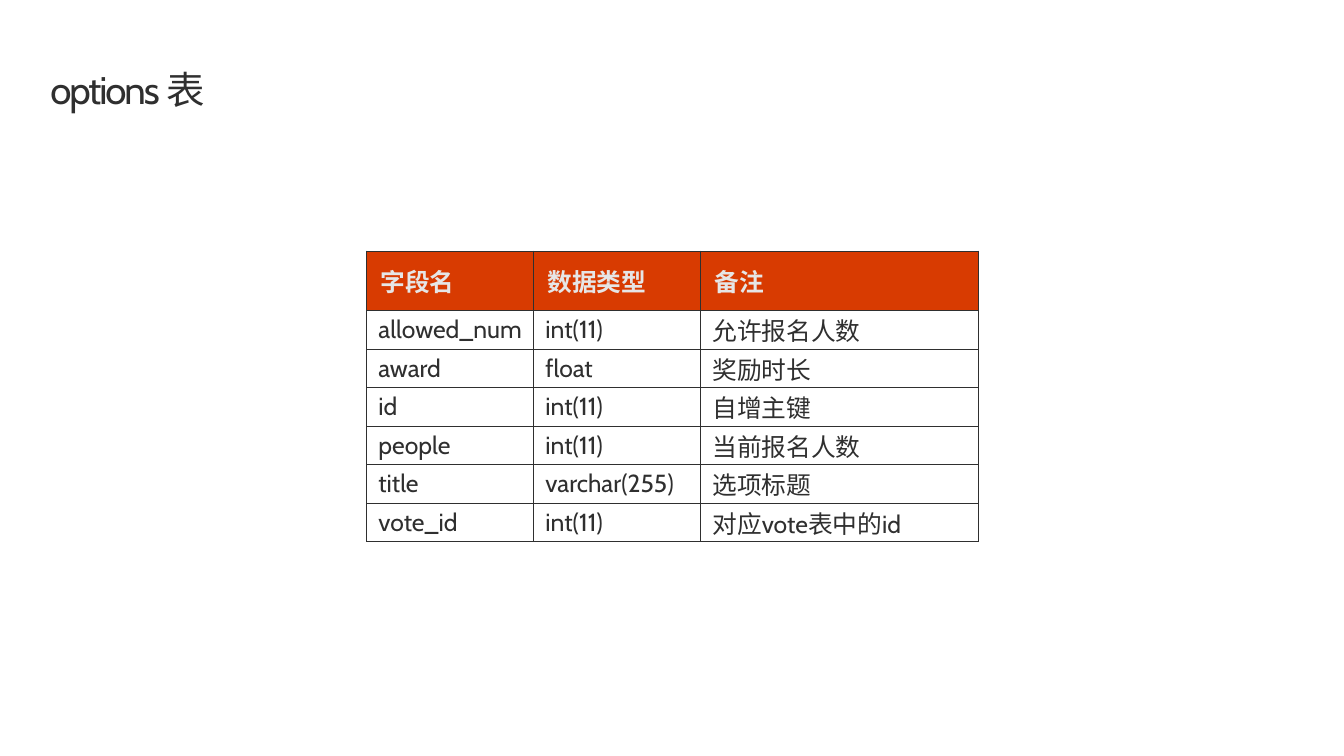
from lxml import etree
from pptx import Presentation
from pptx.dml.color import RGBColor
from pptx.enum.text import MSO_ANCHOR
from pptx.oxml.ns import qn
from pptx.util import Inches, Pt

MIDDLE = MSO_ANCHOR.MIDDLE
INK = RGBColor(0x2F, 0x2F, 0x2F)
ORANGE = RGBColor(0xD8, 0x3B, 0x01)
PALE = RGBColor(0xE6, 0xE6, 0xE6)

HEADER = ("字段名", "数据类型", "备注")
FIELDS = [
    ("allowed_num", "int(11)", "允许报名人数"),
    ("award", "float", "奖励时长"),
    ("id", "int(11)", "自增主键"),
    ("people", "int(11)", "当前报名人数"),
    ("title", "varchar(255)", "选项标题"),
    ("vote_id", "int(11)", "对应vote表中的id"),
]
COL_WIDTHS = (1.69, 1.69, 2.81)
HEADER_HEIGHT, ROW_HEIGHT = 0.6, 0.39
HEADER_INSETS = (0.14, 0.06, 0.14, 0.06)
BODY_INSETS = (0.12, 0.01, 0.01, 0)


class SlideBuilder:
    font_name = "Cabin"

    def __init__(self, slide):
        self.s = slide

    def style(self, p, size, color, bold=False):
        p.font.name = self.font_name
        p.font.size = Pt(size)
        p.font.bold = bold
        p.font.color.rgb = color

    def insets(self, target, sizes):
        """Set left, top, right and bottom margins of a cell or text frame."""
        (target.margin_left, target.margin_top,
         target.margin_right, target.margin_bottom) = map(Inches, sizes)

    def title(self, text, left, top, width, height):
        tf = self.s.shapes.add_textbox(*map(Inches, (left, top, width, height))).text_frame
        tf.word_wrap = True
        self.insets(tf, (0, 0, 0, 0))
        p = tf.paragraphs[0]
        p.line_spacing = Pt(32)
        r = p.add_run()
        r.text = text
        r.font._element.set("spc", "-150")
        self.style(p, 28, INK)

    def borders(self, cell):
        tc_pr = cell._tc.get_or_add_tcPr()
        for side in ("a:lnL", "a:lnR", "a:lnT", "a:lnB"):
            ln = etree.SubElement(tc_pr, qn(side), w=str(Pt(0.5)))
            fill = etree.SubElement(ln, qn("a:solidFill"))
            etree.SubElement(fill, qn("a:srgbClr"), val=str(INK))

    def cell(self, cell, text, is_header):
        cell.text = text
        cell.vertical_anchor = MIDDLE
        self.insets(cell, HEADER_INSETS if is_header else BODY_INSETS)
        self.borders(cell)
        if is_header:
            cell.fill.solid()
            cell.fill.fore_color.rgb = ORANGE
        else:
            cell.fill.background()
        self.style(cell.text_frame.paragraphs[0], 18, PALE if is_header else INK, is_header)

    def table(self, left, top, header, body):
        rows = [header, *body]
        heights = [HEADER_HEIGHT] + [ROW_HEIGHT] * len(body)
        table = self.s.shapes.add_table(
            len(rows), len(header), Inches(left), Inches(top),
            Inches(sum(COL_WIDTHS)), Inches(sum(heights))).table
        table.first_row = table.horz_banding = False
        for column, width in zip(table.columns, COL_WIDTHS):
            column.width = Inches(width)
        for i, (row, height) in enumerate(zip(table.rows, heights)):
            row.height = Inches(height)
            for cell, text in zip(row.cells, rows[i]):
                self.cell(cell, text, i == 0)


def main():
    prs = Presentation()
    prs.slide_width, prs.slide_height = Inches(13.6), Inches(7.65)
    builder = SlideBuilder(prs.slides.add_slide(prs.slide_layouts[6]))
    builder.title("options 表", 0.51, 0.69, 12.61, 0.45)
    builder.table(3.71, 2.54, HEADER, FIELDS)
    prs.save("out.pptx")


if __name__ == "__main__":
    main()
